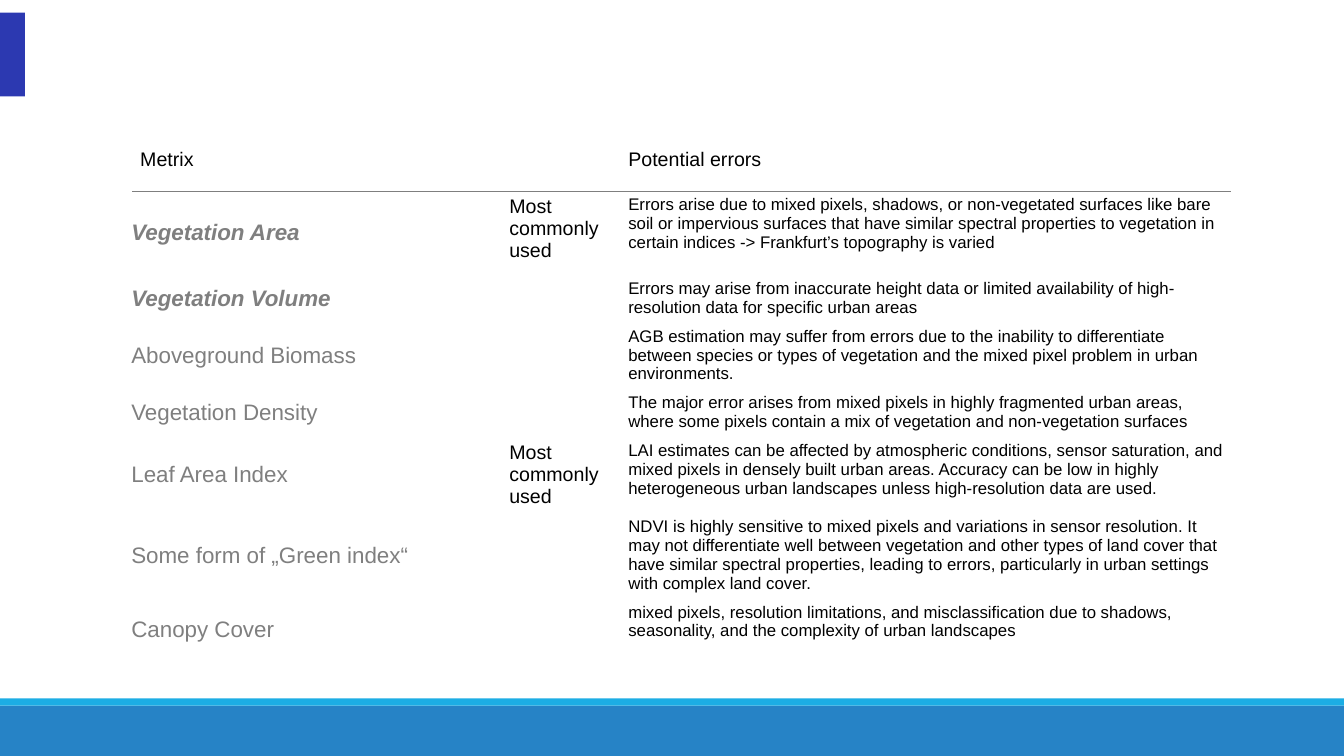
from pptx import Presentation, util as u
from pptx.dml.color import RGBColor
from pptx.enum import shapes, text
from pptx.oxml.ns import qn
from lxml import etree

NO_GRID = "{2D5ABB26-0587-4C30-8999-92F81FD0307C}"
COMMON = "Most commonly used"
BLACK, GREY = "000000", "7F7F7F"
COL_WIDTHS = [9.3, 3.0, 15.57]
ROW_HEIGHTS = [1.19, 2.11] + [1.19] * 5 + [1.6]
METRICS = [
    ("Vegetation Area", COMMON,
     "Errors arise due to mixed pixels, shadows, or non-vegetated surfaces like bare soil or impervious "
     "surfaces that have similar spectral properties to vegetation in certain indices -> Frankfurt’s "
     "topography is varied"),
    ("Vegetation Volume", "",
     "Errors may arise from inaccurate height data or limited availability of high-resolution data for "
     "specific urban areas"),
    ("Aboveground Biomass", "",
     "AGB estimation may suffer from errors due to the inability to differentiate between species or types "
     "of vegetation and the mixed pixel problem in urban environments."),
    ("Vegetation Density", "",
     "The major error arises from mixed pixels in highly fragmented urban areas, where some pixels contain "
     "a mix of vegetation and non-vegetation surfaces"),
    ("Leaf Area Index", COMMON,
     "LAI estimates can be affected by atmospheric conditions, sensor saturation, and mixed pixels in "
     "densely built urban areas. Accuracy can be low in highly heterogeneous urban landscapes unless "
     "high-resolution data are used."),
    ("Some form of „Green index“", "",
     "NDVI is highly sensitive to mixed pixels and variations in sensor resolution. It may not "
     "differentiate well between vegetation and other types of land cover that have similar spectral "
     "properties, leading to errors, particularly in urban settings with complex land cover."),
    ("Canopy Cover", "",
     "mixed pixels, resolution limitations, and misclassification due to shadows, seasonality, and the "
     "complexity of urban landscapes"),
]


def rgb(color):
    return RGBColor.from_string(color)


def add_bar(s, x, y, w, h, color):
    sp = s.shapes.add_shape(shapes.MSO_SHAPE.RECTANGLE, u.Cm(x), u.Cm(y), u.Cm(w), u.Cm(h))
    sp.shadow.inherit = False
    sp.fill.solid()
    sp.fill.fore_color.rgb = rgb(color)
    sp.line.fill.background()


def add_rule(s, x1, x2, y, color):
    ln = s.shapes.add_connector(shapes.MSO_CONNECTOR.STRAIGHT, u.Cm(x1), u.Cm(y), u.Cm(x2), u.Cm(y))
    ln.line.color.rgb = rgb(color)
    ln.line.width = u.Pt(0.75)
    etree.SubElement(ln._element.spPr, qn("a:effectLst"))


def write_cell(cell, words, size, color=BLACK, strong=False):
    if not words:
        return
    r = cell.text_frame.paragraphs[0].add_run()
    r.text = words
    r.font.name = "Arial"
    r.font.size = u.Pt(size)
    r.font.color.rgb = rgb(color)
    r.font.bold = r.font.italic = strong


def write_metric(cell, words, strong):
    cell.vertical_anchor = text.MSO_ANCHOR.MIDDLE
    cell.margin_left = cell.margin_right = cell.margin_top = u.Cm(0.03)
    cell.margin_bottom = 0
    write_cell(cell, words, 16, GREY, strong)


def add_metrics_table(s, x, y):
    gf = s.shapes.add_table(len(ROW_HEIGHTS), len(COL_WIDTHS), u.Cm(x), u.Cm(y),
                            u.Cm(sum(COL_WIDTHS)), u.Cm(sum(ROW_HEIGHTS)))
    tbl = gf.table
    tbl.first_row = tbl.horz_banding = False
    tbl._tbl.tblPr.find(qn("a:tableStyleId")).text = NO_GRID
    for col, w in zip(tbl.columns, COL_WIDTHS):
        col.width = u.Cm(w)
    for row, h in zip(tbl.rows, ROW_HEIGHTS):
        row.height = u.Cm(h)
    for cell in tbl.iter_cells():
        cell.fill.background()
    write_cell(tbl.cell(0, 0), "Metrix", 14)
    write_cell(tbl.cell(0, 2), "Potential errors", 14)
    for i, (metric, usage, errors) in enumerate(METRICS, 1):
        write_metric(tbl.cell(i, 0), metric, strong=i <= 2)
        write_cell(tbl.cell(i, 1), usage, 14)
        write_cell(tbl.cell(i, 2), errors, 12)


def main():
    prs = Presentation()
    prs.slide_width, prs.slide_height = u.Cm(33.87), u.Cm(19.05)
    s = prs.slides.add_slide(prs.slide_layouts[6])
    add_bar(s, 0, 17.78, 33.87, 1.27, "2683C6")
    add_bar(s, 0, 17.6, 33.87, 0.18, "1CADE4")
    add_rule(s, 3.33, 31.01, 4.82, GREY)
    add_bar(s, 0, 0.32, 0.63, 2.11, "2C39B1")
    add_metrics_table(s, 3.28, 3.61)
    prs.save("out.pptx")


if __name__ == "__main__":
    main()
